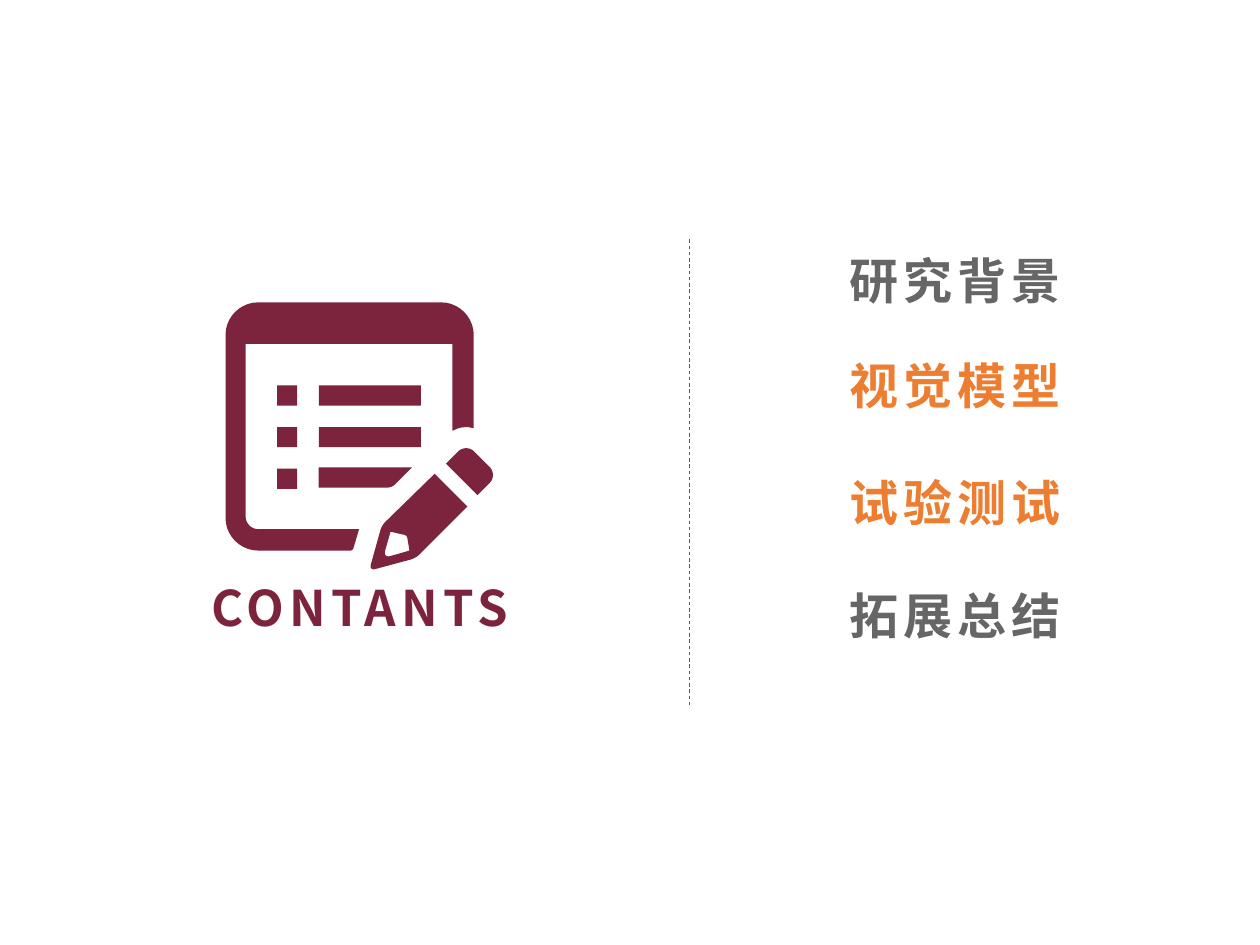
from lxml.etree import SubElement
from math import dist

from pptx import Presentation
from pptx.dml.color import RGBColor
from pptx.enum.dml import MSO_LINE
from pptx.enum.shapes import MSO_CONNECTOR, MSO_SHAPE
from pptx.enum.text import MSO_ANCHOR, MSO_AUTO_SIZE, PP_ALIGN
from pptx.oxml.ns import qn
from pptx.util import Inches, Pt

MAROON = RGBColor(0x7C, 0x23, 0x3E)
GREY = RGBColor(0x66, 0x66, 0x66)
ORANGE = RGBColor(0xED, 0x7D, 0x31)
BLUE = RGBColor(0x01, 0x74, 0xAB)
FONT = "Noto Sans CJK SC"
CORNER_STEPS = 10
CORNER_BEND = 0.55

CHAPTERS = [
    ("研究背景", 1.94, GREY),
    ("视觉模型", 2.77, ORANGE),
    ("试验测试", 3.7, ORANGE),
    ("拓展总结", 4.6, GREY),
]

PAGE = [
    (2.85, 4.2, 0), (2.8, 4.37, 0.02), (1.79, 4.37, 0.26), (1.79, 2.4, 0.26),
    (3.76, 2.4, 0.26), (3.76, 3.4, 0), (3.68, 3.38, 0.06), (3.59, 3.42, 0),
    (3.59, 2.73, 0), (1.95, 2.73, 0), (1.95, 4.2, 0.1),
]
PENCIL = [
    (3.45, 3.76, 0), (3.71, 4.02, 0), (3.3, 4.43, 0.04),
    (2.93, 4.53, 0.05), (3.03, 4.17, 0.04),
]
PENCIL_TIP = [(3.1, 4.22, 0), (3.23, 4.25, 0.02), (3.25, 4.37, 0), (3.04, 4.43, 0.06)]
ERASER = [(3.54, 3.68, 0), (3.7, 3.52, 0.09), (3.95, 3.77, 0.09), (3.79, 3.93, 0)]
CUT_BAR = [(2.53, 3.71, 0), (3.27, 3.71, 0), (3.11, 3.87, 0.03), (2.53, 3.87, 0)]


def toward(origin, target, share):
    return [o + (t - o) * share for o, t in zip(origin, target)]


def round_corner(before, corner, after, radius):
    start = toward(corner, before, radius / dist(corner, before))
    end = toward(corner, after, radius / dist(corner, after))
    first = toward(start, corner, CORNER_BEND)
    second = toward(end, corner, CORNER_BEND)
    for step in range(CORNER_STEPS + 1):
        t = step / CORNER_STEPS
        yield [
            (1 - t) ** 3 * s + 3 * t * (1 - t) * ((1 - t) * a + t * b) + t ** 3 * e
            for s, a, b, e in zip(start, first, second, end)
        ]


def trace(corners):
    points = []
    for i, (x, y, radius) in enumerate(corners):
        if radius:
            before = corners[i - 1][:2]
            after = corners[(i + 1) % len(corners)][:2]
            points.extend(round_corner(before, (x, y), after, radius))
        else:
            points.append((x, y))
    return [(Inches(x), Inches(y)) for x, y in points]


def paint(shape):
    shape.shadow.inherit = False
    shape.fill.solid()
    shape.fill.fore_color.rgb = MAROON
    shape.line.fill.background()


def add_outline(shapes, outer, *holes):
    start, *rest = trace(outer)
    builder = shapes.build_freeform(*start)
    builder.add_line_segments(rest, close=True)
    for hole in holes:
        start, *rest = trace(hole)
        builder.move_to(*start)
        builder.add_line_segments(rest, close=True)
    paint(builder.convert_to_shape())


def add_bar(shapes, left, top, width):
    paint(shapes.add_shape(
        MSO_SHAPE.RECTANGLE, Inches(left), Inches(top), Inches(width), Inches(0.16)))


def add_icon(slide):
    icon = slide.shapes.add_group_shape().shapes
    add_outline(icon, PAGE)
    add_outline(icon, PENCIL, PENCIL_TIP)
    add_outline(icon, ERASER)
    add_outline(icon, CUT_BAR)
    for row in range(3):
        top = 3.06 + 0.33 * row
        add_bar(icon, 2.2, top, 0.16)
        if row < 2:
            add_bar(icon, 2.53, top, 0.81)


def write(box, text, color, alignment):
    frame = box.text_frame
    frame.word_wrap = True
    frame.auto_size = MSO_AUTO_SIZE.SHAPE_TO_FIT_TEXT
    frame.vertical_anchor = MSO_ANCHOR.TOP
    paragraph = frame.paragraphs[0]
    paragraph.text = text
    paragraph.alignment = alignment
    font = paragraph.font
    font.name = FONT
    font.size = Pt(28)
    font.bold = True
    font.color.rgb = color
    properties = paragraph._p.pPr.find(qn("a:defRPr"))
    properties.set("spc", "300")
    SubElement(properties, qn("a:ea")).set("typeface", FONT)


def add_heading(slide):
    heading = slide.shapes.title
    heading.left, heading.top = Inches(1.4), Inches(4.53)
    heading.width, heading.height = Inches(2.91), Inches(0.57)
    write(heading, "CONTANTS", MAROON, PP_ALIGN.CENTER)


def add_chapter(slide, name, top, color):
    chapter = slide.shapes.add_textbox(
        Inches(6.64), Inches(top), Inches(1.96), Inches(0.57))
    write(chapter, name, color, PP_ALIGN.LEFT)


def add_divider(slide):
    divider = slide.shapes.add_connector(
        MSO_CONNECTOR.STRAIGHT, Inches(5.47), Inches(1.9), Inches(5.47), Inches(5.6))
    divider.line.color.rgb = BLUE
    divider.line.width = Pt(0.5)
    divider.line.dash_style = MSO_LINE.DASH
    SubElement(divider._element.spPr, qn("a:effectLst"))


def main():
    presentation = Presentation()
    presentation.slide_width, presentation.slide_height = Inches(10), Inches(7.5)
    slide = presentation.slides.add_slide(presentation.slide_layouts[5])
    add_divider(slide)
    for chapter in CHAPTERS:
        add_chapter(slide, *chapter)
    add_icon(slide)
    add_heading(slide)
    presentation.save("out.pptx")


if __name__ == "__main__":
    main()
